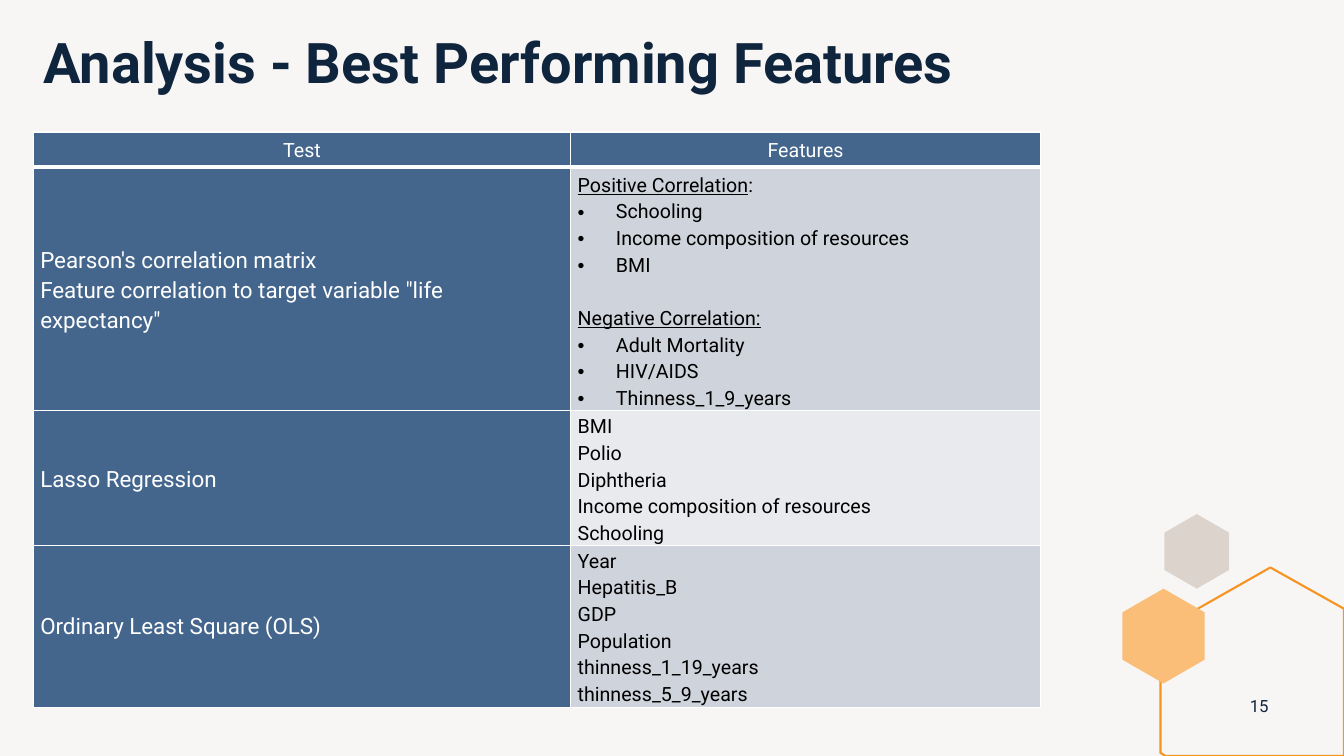
from dataclasses import dataclass
from math import cos, pi, sin

from lxml.etree import SubElement
from pptx import Presentation
from pptx.dml.color import RGBColor
from pptx.enum.text import MSO_ANCHOR as Anchor, MSO_AUTO_SIZE as AutoSize, PP_ALIGN as Align
from pptx.oxml.ns import qn
from pptx.util import Inches, Pt


@dataclass(frozen=True)
class Theme:
    font: str = "Roboto"
    page: str = "F8F6F5"
    navy: str = "0F253E"
    blue: str = "44668D"
    band: str = "CFD3DB"
    pale: str = "E9EAEE"
    white: str = "FFFFFF"
    black: str = "000000"
    stone: str = "DCD3CC"
    orange: str = "F79320"
    apricot: str = "FABE79"
    title_size: int = 40
    test_size: int = 16
    feature_size: int = 14
    number_size: int = 12


@dataclass(frozen=True)
class Line:
    text: str
    heading: str = ""
    bullet: bool = False
    gap: int = 0


THEME = Theme()
HEADERS = ["Test", "Features"]
COLUMN_WIDTHS = [5.33, 4.66]
ROW_HEIGHTS = [0.35, 2.31, 1.28, 1.54]
PEARSON = ["Pearson's correlation matrix",
           'Feature correlation to target variable "life expectancy"']
CORRELATIONS = [
    Line(":", heading="Positive Correlation"),
    *[Line(name, bullet=True) for name in
      ("Schooling", "Income composition of resources", "BMI")],
    Line("", heading="Negative Correlation:", gap=19),
    *[Line(name, bullet=True) for name in
      ("Adult Mortality", "HIV/AIDS", "Thinness_1_9_years")],
]
LASSO = ["BMI", "Polio", "Diphtheria", "Income composition of resources", "Schooling"]
OLS = ["Year", "Hepatitis_B", "GDP", "Population", "thinness_1_19_years", "thinness_5_9_years"]


def apply(target, values):
    for name, value in values.items():
        setattr(target, name, value)


def paint(fill, color):
    fill.solid()
    fill.fore_color.rgb = RGBColor.from_string(color)


def add_span(para, text, size, color, **extra):
    span = para.add_run()
    span.text = text
    apply(span.font, {"name": THEME.font, "size": Pt(size), **extra})
    span.font.color.rgb = RGBColor.from_string(color)


def add_bullet(para):
    props = para._p.get_or_add_pPr()
    props.set("marL", str(Inches(0.38)))
    props.set("indent", str(Inches(-0.38)))
    SubElement(props, qn("a:buFont")).set("typeface", "Arial")
    SubElement(props, qn("a:buChar")).set("char", "•")


def write_lines(frame, lines, size, color, align=Align.LEFT, spacing=1.15):
    for index, line in enumerate(lines):
        line = Line(line) if isinstance(line, str) else line
        para = frame.add_paragraph() if index else frame.paragraphs[0]
        apply(para, {"alignment": align, "line_spacing": spacing, "space_before": Pt(line.gap)})
        if line.bullet:
            add_bullet(para)
        if line.heading:
            add_span(para, line.heading, size, color, underline=True)
        if line.text:
            add_span(para, line.text, size, color)


def add_borders(cell, top=1, bottom=1):
    props = cell._tc.get_or_add_tcPr()
    for side, width in {"lnL": 1, "lnR": 1, "lnT": top, "lnB": bottom}.items():
        border = SubElement(props, qn(f"a:{side}"), w=str(Pt(width)))
        solid = SubElement(border, qn("a:solidFill"))
        SubElement(solid, qn("a:srgbClr")).set("val", THEME.white)


def format_cell(cell, color, anchor=Anchor.MIDDLE, **borders):
    apply(cell, {"margin_left": Inches(0.07), "margin_right": Inches(0.07),
                 "margin_top": 0, "margin_bottom": 0, "vertical_anchor": anchor})
    add_borders(cell, **borders)
    paint(cell.fill, color)


def add_features_table(page):
    table = page.shapes.add_table(
        len(ROW_HEIGHTS), len(COLUMN_WIDTHS), Inches(0.33), Inches(1.31),
        Inches(sum(COLUMN_WIDTHS)), Inches(sum(ROW_HEIGHTS))).table
    for column, width in zip(table.columns, COLUMN_WIDTHS):
        column.width = Inches(width)
    for row, height in zip(table.rows, ROW_HEIGHTS):
        row.height = Inches(height)
    for index, header in enumerate(HEADERS):
        cell = table.cell(0, index)
        format_cell(cell, THEME.blue, bottom=3)
        write_lines(cell.text_frame, [header], THEME.feature_size, THEME.white,
                    Align.CENTER, 1.06)
    rows = [
        (PEARSON, 1.15, CORRELATIONS, THEME.band, Anchor.BOTTOM),
        (["Lasso Regression"], 1.15, LASSO, THEME.pale, Anchor.BOTTOM),
        (["Ordinary Least Square (OLS)"], 1.06, OLS, THEME.band, Anchor.MIDDLE),
    ]
    for index, (tests, spacing, features, color, anchor) in enumerate(rows, 1):
        test_cell, feature_cell = table.cell(index, 0), table.cell(index, 1)
        top = 3 if index == 1 else 1
        format_cell(test_cell, THEME.blue, top=top)
        format_cell(feature_cell, color, anchor, top=top)
        write_lines(test_cell.text_frame, tests, THEME.test_size, THEME.white, spacing=spacing)
        write_lines(feature_cell.text_frame, features, THEME.feature_size, THEME.black)


def add_polygon(page, points, fill=None, line=None):
    corners = [(Inches(x), Inches(y)) for x, y in points]
    builder = page.shapes.build_freeform(*corners[0], scale=1.0)
    builder.add_line_segments(corners[1:], close=True)
    shape = builder.convert_to_shape()
    shape.shadow.inherit = False
    if fill:
        paint(shape.fill, fill)
    else:
        shape.fill.background()
    if line:
        paint(shape.line.fill, line)
        shape.line.width = Pt(1.5)
    else:
        shape.line.fill.background()


def add_hexagon(page, center_x, center_y, radius, fill):
    angles = [pi * step / 3 for step in range(6)]
    points = [(center_x + radius * sin(a), center_y - radius * cos(a)) for a in angles]
    add_polygon(page, points, fill=fill)


def add_decoration(page):
    add_hexagon(page, 11.87, 5.47, 0.37, THEME.stone)
    outline = [(12.6, 5.63), (13.33, 6.04), (13.33, 7.5), (11.56, 7.5), (11.51, 7.47), (11.51, 6.25)]
    add_polygon(page, outline, line=THEME.orange)
    add_hexagon(page, 11.54, 6.31, 0.47, THEME.apricot)


def place_title(page, text):
    title = page.shapes.title
    apply(title, {"left": Inches(0.33), "top": Inches(0.3),
                  "width": Inches(11.91), "height": Inches(0.89)})
    frame = title.text_frame
    apply(frame, {"vertical_anchor": Anchor.TOP, "auto_size": AutoSize.NONE, "word_wrap": True})
    para = frame.paragraphs[0]
    apply(para, {"alignment": Align.LEFT, "line_spacing": 0.9})
    add_span(para, text, THEME.title_size, THEME.navy, bold=True)


def add_page_number(page, number):
    box = page.shapes.add_textbox(Inches(12.24), Inches(6.8), Inches(0.5), Inches(0.4))
    apply(box.text_frame, {"word_wrap": True, "vertical_anchor": Anchor.MIDDLE})
    write_lines(box.text_frame, [number], THEME.number_size, THEME.navy, Align.CENTER, 1.0)


def main():
    deck = Presentation()
    apply(deck, {"slide_width": Inches(13.33), "slide_height": Inches(7.5)})
    page = deck.slides.add_slide(deck.slide_layouts[5])
    paint(page.background.fill, THEME.page)
    add_decoration(page)
    place_title(page, "Analysis - Best Performing Features")
    add_page_number(page, "15")
    add_features_table(page)
    deck.save("out.pptx")


if __name__ == "__main__":
    main()
